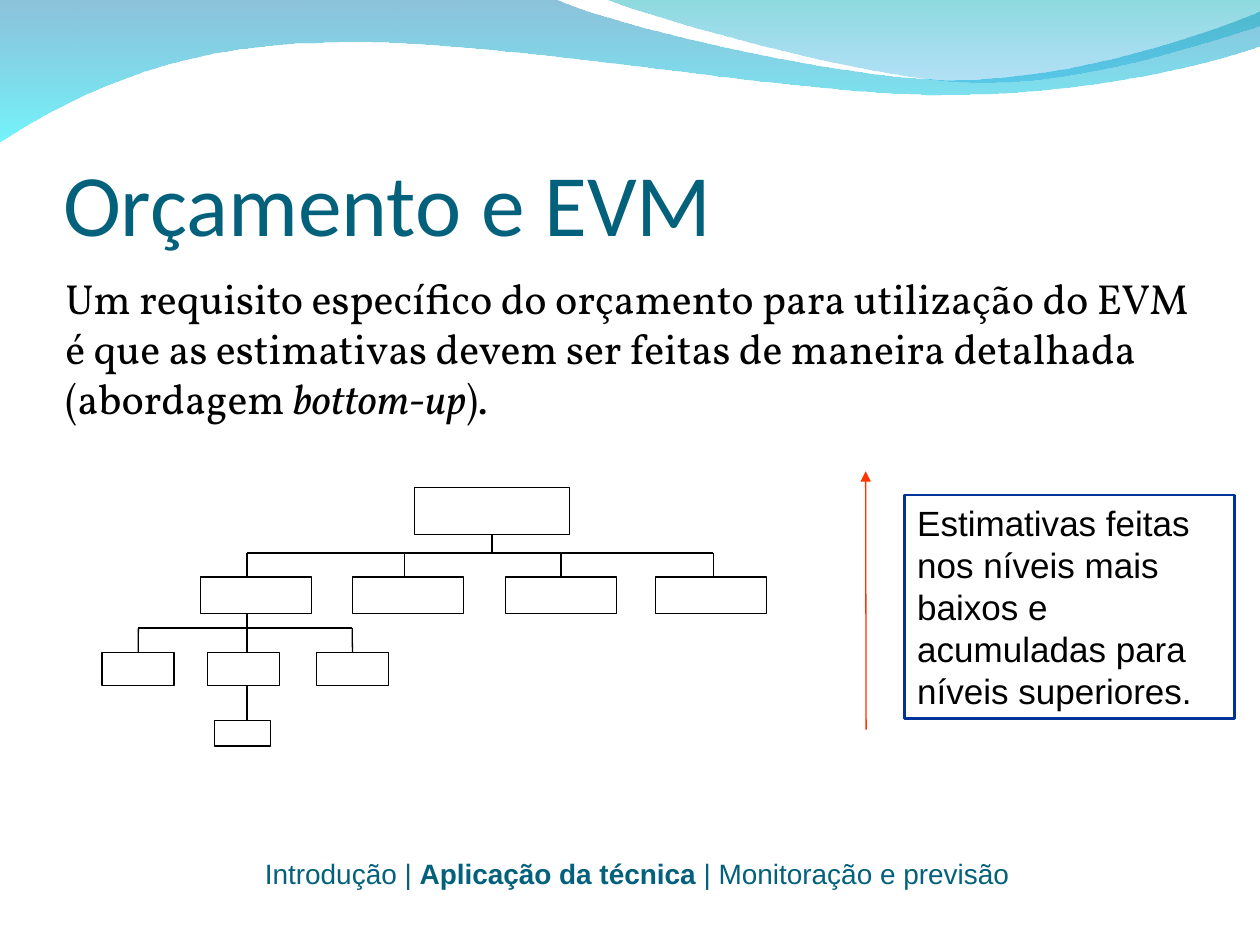
from pptx import Presentation
from pptx.dml.color import RGBColor as RGB
from pptx.enum.shapes import MSO_CONNECTOR as Conn, MSO_SHAPE as Kind
from pptx.enum.text import MSO_ANCHOR as Anchor, MSO_AUTO_SIZE as Fit, PP_ALIGN as Align
from pptx.oxml.ns import qn
from pptx.util import Cm, Pt
from lxml.etree import SubElement as Sub

TEAL = RGB(0x04, 0x61, 0x7B)
BLACK = RGB(0, 0, 0)
WHITE = RGB(0xFF, 0xFF, 0xFF)
RED = RGB(0xFF, 0x33, 0x00)
NAVY = RGB(0x00, 0x33, 0x99)
BLUE = RGB(0x00, 0x79, 0xAF)
CYAN = RGB(0x00, 0xEB, 0xF8)
GREEN = RGB(0x00, 0xAD, 0xB6)
SKY = RGB(0x00, 0x9B, 0xE5)

deck = Presentation()
deck.slide_width, deck.slide_height = Cm(25.4), Cm(19.05)
slide = deck.slides.add_slide(deck.slide_layouts[5])
shapes = slide.shapes


def link(x1, y1, x2, y2, color=BLACK):
    line = shapes.add_connector(Conn.STRAIGHT, Cm(x1), Cm(y1), Cm(x2), Cm(y2))
    line.line.color.rgb = color
    line.line.width = Pt(0.75)
    Sub(line._element.spPr, qn("a:effectLst"))
    return line


def write(frame, parts, size, font, color):
    frame.word_wrap = True
    frame.auto_size = Fit.NONE
    para = frame.paragraphs[0]
    para.font.size = Pt(size)
    para.font.name = font
    para.font.color.rgb = color
    for text, style in parts:
        run = para.add_run()
        run.text = text
        if style:
            setattr(run.font, style, True)
    return para


# A step of one point is straight, a step of three points is a cubic curve.
waves = [
    ((0, -0.03),
     [[(11.18, -0.03)],
      [(12.09, 0.43), (16.87, 1.6), (19.25, 1.6)],
      [(21.67, 1.6), (24.33, 0.66), (25.4, 0.23)],
      [(25.43, 0.91)],
      [(24.97, 1.12), (22.1, 1.93), (18.95, 1.91)],
      [(15.8, 1.91), (9.7, 0.71), (6.53, 0.86)],
      [(3.28, 0.89), (1.17, 2.11), (-0.03, 2.87)]],
     [(BLUE, 45), (CYAN, 55)]),
    ((12.17, -0.03),
     [[(12.93, 0.28), (17.32, 1.57), (19.53, 1.65)],
      [(21.74, 1.75), (24.41, 0.81), (25.4, 0.53)],
      [(25.4, 0)]],
     [(GREEN, 45), (SKY, 30)]),
]
for (left, top), steps, tones in waves:
    form = shapes.build_freeform(Cm(left), Cm(top))
    form.add_line_segments([(Cm(x), Cm(y)) for step in steps for x, y in step], close=True)
    wave = form.convert_to_shape()
    lines = iter(list(wave._element.spPr.iter(qn("a:lnTo"))))
    for step in steps:
        group = [next(lines) for dot in step]
        if len(group) == 3:
            curve = group[0].makeelement(qn("a:cubicBezTo"))
            group[0].addprevious(curve)
            for line in group:
                curve.append(line[0])
                line.getparent().remove(line)
    wave.shadow.inherit = False
    wave.line.fill.background()
    wave.fill.gradient()
    wave.fill.gradient_angle = 270
    for stop, (tone, alpha) in zip(wave.fill.gradient_stops, tones):
        stop.color.rgb = tone
    marks = wave._element.spPr.iter(qn("a:srgbClr"))
    for mark, (tone, alpha) in zip(marks, tones):
        Sub(mark, qn("a:alpha"), val=str(alpha * 1000))

title = shapes.title
title.left, title.top, title.width, title.height = Cm(1.27), Cm(1.96), Cm(22.86), Cm(3.17)
frame = title.text_frame
frame.margin_left = frame.margin_right = frame.margin_bottom = 0
frame.vertical_anchor = Anchor.BOTTOM
write(frame, [("Orçamento e EVM", None)], 50, "Calibri", TEAL).alignment = Align.LEFT

foot = shapes.add_textbox(Cm(4.88), Cm(17.14), Cm(16.08), Cm(0.94))
write(foot.text_frame, [("Introdução | ", None), ("Aplicação da técnica", "bold"),
                        (" | Monitoração e previsão ", None)],
      16, "Arial", TEAL).alignment = Align.CENTER

body = shapes.add_textbox(Cm(1.07), Cm(5.36), Cm(23.32), Cm(2.24))
write(body.text_frame,
      [("Um requisito específico do orçamento para utilização do EVM é que as estimativas "
        "devem ser feitas de maneira detalhada (abordagem ", None),
       ("bottom-up", "italic"), (").", None)], 24, "Vollkorn", BLACK)

BAR, LOW, TRUNK = 11.15, 12.66, 4.98
link(TRUNK, BAR, TRUNK, 14.78)
rows = [
    (9.83, 3.12, 0.94, [8.36]),
    (11.63, 2.24, 0.74, [4.04, 7.11, 10.19, 13.21]),
    (13.16, 1.45, 0.66, [2.06, 4.19, 6.38]),
    (14.53, 1.14, 0.51, [4.32]),
]
tree = []
for top, width, height, lefts in rows:
    level = []
    for left in lefts:
        node = shapes.add_shape(Kind.RECTANGLE, Cm(left), Cm(top), Cm(width), Cm(height))
        node.shadow.inherit = False
        node.fill.solid()
        node.fill.fore_color.rgb = WHITE
        node.line.color.rgb = BLACK
        node.line.width = Pt(0.75)
        level.append(node)
    tree.append(level)

link(TRUNK, BAR, 14.38, BAR)
link(2.79, LOW, 7.1, LOW)
link(8.15, BAR, 8.15, 11.63)
link(14.38, BAR, 14.38, 11.63)
link(9.92, BAR, 9.92, 10.77).end_connect(tree[0][0], 2)
for x, y, node in [(11.31, BAR, tree[1][2]), (2.79, LOW, tree[2][0]), (7.1, LOW, tree[2][2])]:
    link(x, y, x, y + 0.5).end_connect(node, 0)

arrow = link(17.45, 9.5, 17.46, 14.71, RED)
Sub(arrow.line._get_or_add_ln(), qn("a:headEnd"), type="triangle")

note = shapes.add_shape(Kind.RECTANGLE, Cm(18.24), Cm(9.98), Cm(6.65), Cm(4.5))
note.shadow.inherit = False
note.fill.background()
note.line.color.rgb = NAVY
note.line.width = Pt(1.5)
note.text_frame.vertical_anchor = Anchor.TOP
write(note.text_frame,
      [("Estimativas feitas nos níveis mais baixos e acumuladas para níveis superiores.", None)],
      20, "Arial", BLACK).alignment = Align.LEFT

deck.save("out.pptx")
